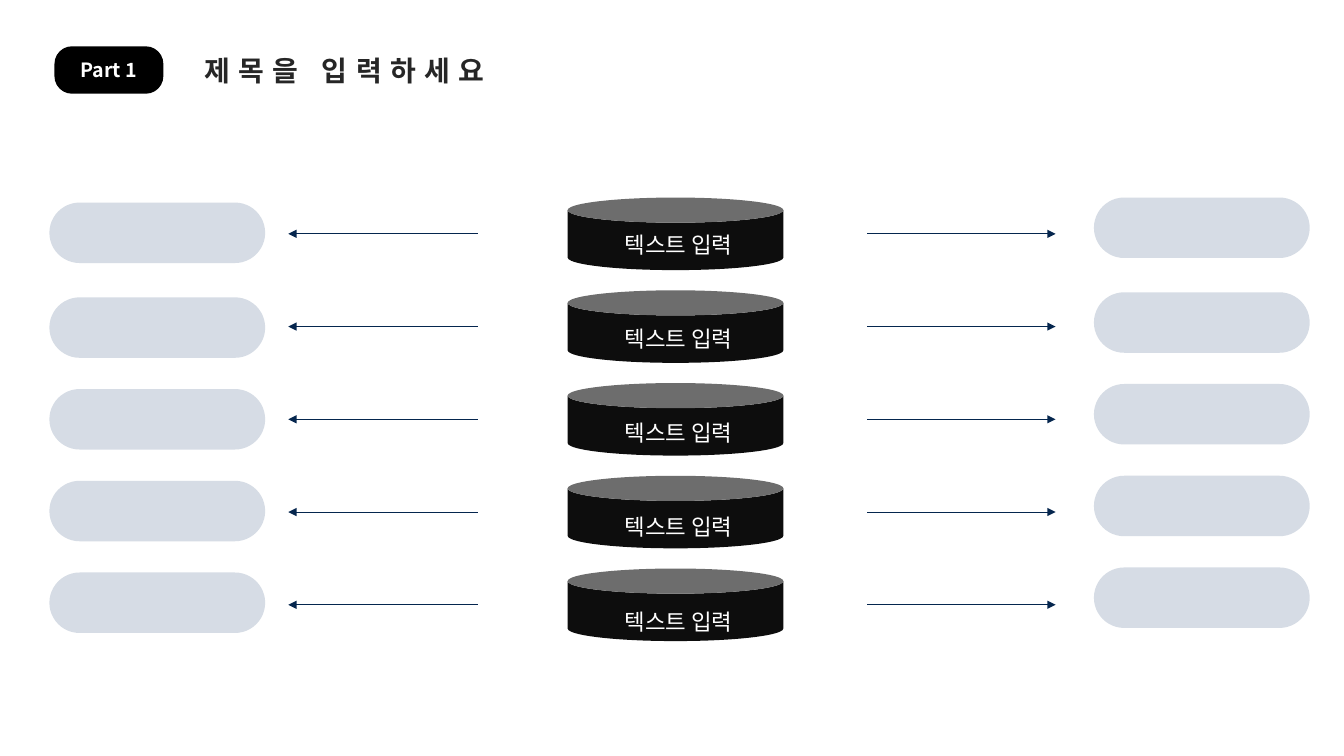
from lxml import etree
from pptx import Presentation
from pptx import util as u
from pptx.dml.color import RGBColor
from pptx.enum import shapes, text
from pptx.oxml.ns import qn

PX = 9144  # EMU per px, 100 px to the inch
FONT = "Noto Sans CJK KR"
COLORS = {
    "can": "0D0D0D",
    "arrow": "05264E",
    "pill": "D6DCE5",
    "badge": "000000",
    "title": "262626",
    "light": "FFFFFF",
}
ROWS = 5
ROW_PITCH = 92
LABEL_PITCH = 93.5
PILL_OFFSETS = [0] + [94 + 91 * row for row in range(ROWS - 1)]


def px(*lengths):
    return [u.Emu(round(length * PX)) for length in lengths]


def color(name):
    return RGBColor.from_string(COLORS[name])


def add_block(slide, preset, box, fill, adjustment):
    block = slide.shapes.add_shape(preset, *px(*box))
    block.adjustments[0] = adjustment
    block.shadow.inherit = False
    block.fill.solid()
    block.fill.fore_color.rgb = color(fill)
    block.line.fill.background()


def add_label(slide, box, words, size, ink, bold=False,
              align=text.PP_ALIGN.CENTER, spacing=0):
    frame = slide.shapes.add_textbox(*px(*box)).text_frame
    frame.word_wrap = False
    frame.auto_size = text.MSO_AUTO_SIZE.SHAPE_TO_FIT_TEXT
    frame.text = words
    paragraph = frame.paragraphs[0]
    paragraph.alignment = align
    font = paragraph.runs[0].font
    font.name = FONT
    font.size = u.Pt(size)
    font.bold = bold
    font.color.rgb = color(ink)
    # East Asian typeface and letter spacing
    properties = paragraph.runs[0]._r.get_or_add_rPr()
    etree.SubElement(properties, qn("a:ea"), typeface=FONT)
    if spacing:
        properties.set("spc", str(spacing * 100))


def add_arrow(slide, start_x, end_x, y):
    arrow = slide.shapes.add_connector(
        shapes.MSO_CONNECTOR.STRAIGHT, *px(start_x, y, end_x, y))
    arrow.line.color.rgb = color("arrow")
    arrow.line.width = u.Pt(0.5)
    etree.SubElement(arrow.line._get_or_add_ln(), qn("a:tailEnd"), type="triangle")
    etree.SubElement(arrow._element.spPr, qn("a:effectLst"))


def add_header(slide, left, top):
    add_block(slide, shapes.MSO_SHAPE.ROUNDED_RECTANGLE,
              (left, top, 108, 47), "badge", 0.371)
    add_label(slide, (left + 15, top + 7, 78, 34), "Part 1", 14, "light", bold=True)
    add_label(slide, (left + 139, top + 2, 326, 44), "제목을 입력하세요", 20, "title",
              bold=True, align=text.PP_ALIGN.LEFT, spacing=6)


def add_can_stack(slide, left, top, width):
    for row in range(ROWS):
        add_block(slide, shapes.MSO_SHAPE.CAN,
                  (left, top + row * ROW_PITCH, width, 72), "can", 0.347)
    for row in range(ROWS):
        add_label(slide, (left + 41, top + 28 + row * LABEL_PITCH, 138, 37),
                  "텍스트 입력", 16, "light")


def add_arrow_column(slide, start_x, end_x, top):
    for row in range(ROWS):
        add_arrow(slide, start_x, end_x, top + row * ROW_PITCH)


def add_pill_column(slide, left, top, width):
    for offset in PILL_OFFSETS:
        add_block(slide, shapes.MSO_SHAPE.ROUNDED_RECTANGLE,
                  (left, top + offset, width, 60), "pill", 0.5)


def main():
    deck = Presentation()
    deck.slide_width, deck.slide_height = px(1333, 750)
    slide = deck.slides.add_slide(deck.slide_layouts[6])

    add_header(slide, 54, 46)

    # Central stack with arrows leading out to both sides
    add_can_stack(slide, 563, 196, 214)
    add_arrow_column(slide, 860, 1047, 232)
    add_arrow_column(slide, 474, 286, 232)

    # Empty pills at the arrowheads
    add_pill_column(slide, 49, 201, 214)
    add_pill_column(slide, 1085, 196, 214)

    deck.save("out.pptx")


if __name__ == "__main__":
    main()
